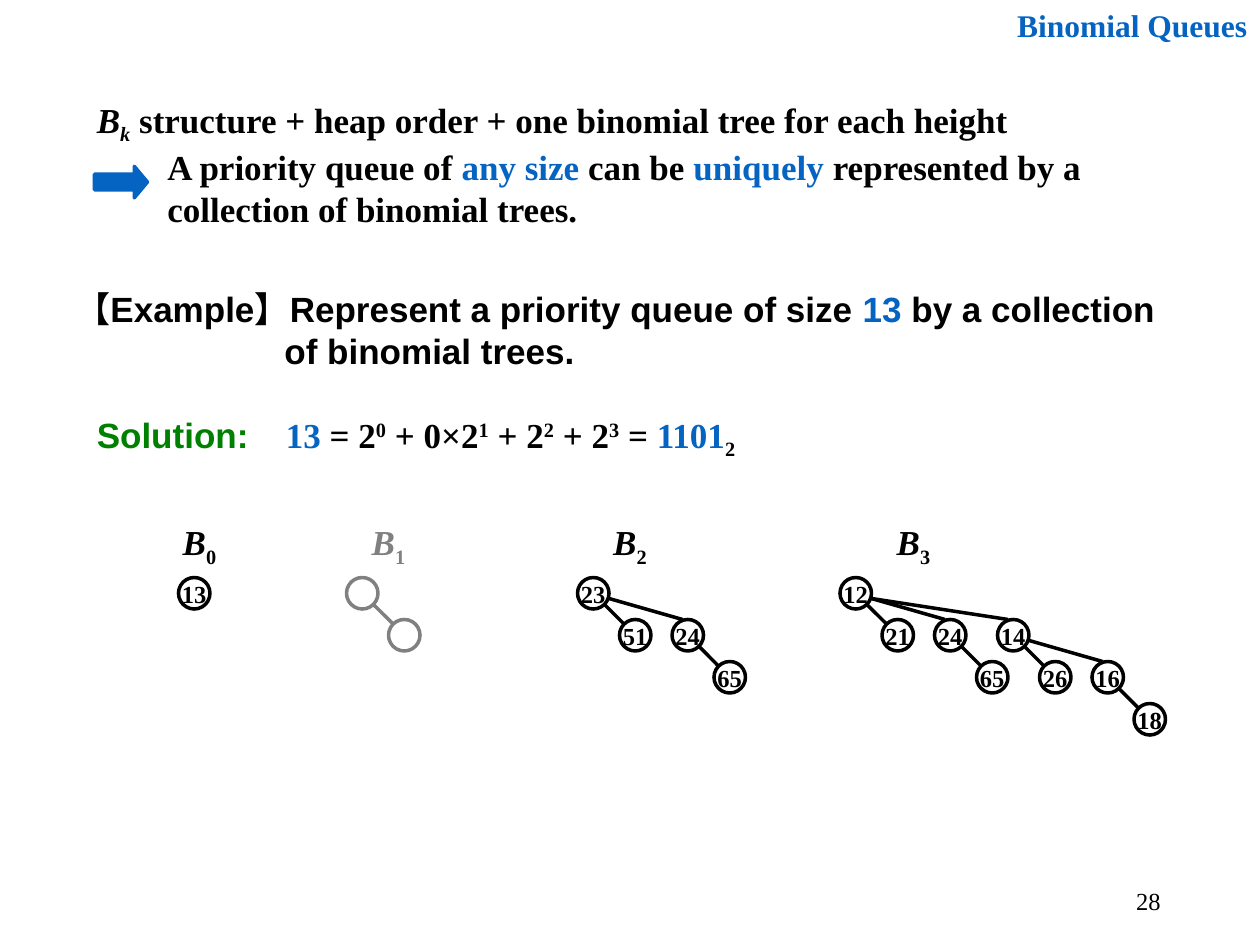
from lxml import etree
from pptx import Presentation
from pptx.dml.color import RGBColor
from pptx.enum.shapes import MSO_CONNECTOR, MSO_SHAPE
from pptx.enum.text import MSO_ANCHOR, MSO_AUTO_SIZE, PP_ALIGN
from pptx.oxml.ns import qn
from pptx.util import Inches, Pt

LEFT, CENTER, RIGHT = PP_ALIGN.LEFT, PP_ALIGN.CENTER, PP_ALIGN.RIGHT
TOP, MIDDLE = MSO_ANCHOR.TOP, MSO_ANCHOR.MIDDLE
STRAIGHT = MSO_CONNECTOR.STRAIGHT
SERIF, SANS = "Times New Roman", "Arial"
COLORS = {name: RGBColor.from_string(value) for name, value in {
    "black": "000000", "blue": "0563C1", "green": "008000", "white": "FFFFFF",
}.items()}
UNIT = 1 / 12  # the trees sit on a grid of twelfths of an inch
NODE = 3 * UNIT


def add_span(para, text, size=20, font=SERIF, color="black", bold=True,
             italic=False, baseline=0):
    """Append a formatted run; baseline is a percentage, negative for subscript."""
    span = para.add_run()
    span.text = text
    span.font.size = Pt(size)
    span.font.name = font
    span.font.bold = bold
    span.font.italic = italic
    span.font.color.rgb = COLORS[color]
    if baseline:
        span._r.get_or_add_rPr().set("baseline", str(baseline * 1000))


def add_box(left, top, width, height, align=LEFT, anchor=TOP):
    """Add a wrapping text box and return its text frame."""
    box = page.shapes.add_textbox(Inches(left), Inches(top), Inches(width), Inches(height))
    frame = box.text_frame
    frame.word_wrap = True
    frame.vertical_anchor = anchor
    frame.paragraphs[0].alignment = align
    return frame


deck = Presentation()
deck.slide_width, deck.slide_height = Inches(10), Inches(7.5)
page = deck.slides.add_slide(deck.slide_layouts[5])

# Title and page number
title = page.shapes.title
title.left, title.top = Inches(7.42), Inches(0)
title.width, title.height = Inches(2.58), Inches(0.4)
title.text_frame.vertical_anchor = TOP
title.text_frame.auto_size = MSO_AUTO_SIZE.NONE
para = title.text_frame.paragraphs[0]
para.alignment = RIGHT
add_span(para, "Binomial Queues", size=18, color="blue")

number = add_box(7.06, 6.95, 2.25, 0.4, align=RIGHT, anchor=MIDDLE)
add_span(number.paragraphs[0], "28", size=14, bold=False)

# Example
para = add_box(0.5, 2.23, 9, 0.77).paragraphs[0]
properties = para._p.get_or_add_pPr()
properties.set("marL", str(Inches(1.66)))
properties.set("indent", str(Inches(-1.66)))
add_span(para, "【Example】Represent a priority queue of size ", font=SANS)
add_span(para, "13", font=SANS, color="blue")
add_span(para, " by a collection of binomial trees.", font=SANS)

# Statement and its conclusion
statement = add_box(0.67, 0.73, 8.42, 1.1)
para = statement.paragraphs[0]
add_span(para, "B", italic=True)
add_span(para, "k", italic=True, baseline=-25)
add_span(para, " structure + heap order + one binomial tree for each height")
conclusion = [
    [("A priority queue of ", "black"), ("any size", "blue"), (" can be ", "black"),
     ("uniquely", "blue"), (" represented by a", "black")],
    [("collection of binomial trees.", "black")],
]
for line in conclusion:
    para = statement.add_paragraph()
    para._p.get_or_add_pPr().set("marL", str(Inches(0.56)))
    for text, color in line:
        add_span(para, text, color=color)

arrow = page.shapes.add_shape(MSO_SHAPE.RIGHT_ARROW, Inches(0.75), Inches(1.32),
                              Inches(0.42), Inches(0.25))
arrow.adjustments[1] = 0.417
arrow.shadow.inherit = False
arrow.fill.solid()
arrow.fill.fore_color.rgb = COLORS["blue"]
arrow.line.color.rgb = COLORS["blue"]
arrow.line.width = Pt(2)

# Solution
add_span(add_box(0.67, 3.23, 1.67, 0.43).paragraphs[0], "Solution:",
         font=SANS, color="green")
para = add_box(2.17, 3.23, 4.58, 0.43).paragraphs[0]
add_span(para, "13", color="blue")
for term, power in [(" = 2", "0"), (" + 0×2", "1"), (" + 2", "2"), (" + 2", "3")]:
    add_span(para, term)
    add_span(para, power, baseline=30)
add_span(para, " = ")
add_span(para, "1101", color="blue")
add_span(para, "2", baseline=-25)

# Trees: label column, then nodes as (key, column, level, index of parent)
trees = [
    (15, [("13", 17, 0, None)]),
    (33, [("", 33, 0, None), ("", 37, 1, 0)]),
    (56, [("23", 55, 0, None), ("51", 59, 1, 0), ("24", 64, 1, 0), ("65", 68, 2, 2)]),
    (83, [("12", 80, 0, None), ("21", 84, 1, 0), ("24", 89, 1, 0), ("65", 93, 2, 2),
          ("14", 95, 1, 0), ("26", 99, 2, 4), ("16", 104, 2, 4), ("18", 108, 3, 6)]),
]
for order, (label_column, nodes) in enumerate(trees):
    para = add_box(label_column * UNIT, 4.08, 8 * UNIT, 0.43, align=CENTER).paragraphs[0]
    add_span(para, "B", italic=True)
    add_span(para, str(order), baseline=-25)

    for key, column, level, parent in nodes:
        left, top = column * UNIT, (55 + 4 * level) * UNIT
        circle = page.shapes.add_shape(MSO_SHAPE.OVAL, Inches(left), Inches(top),
                                       Inches(NODE), Inches(NODE))
        circle.shadow.inherit = False
        circle.fill.background()
        circle.line.color.rgb = COLORS["black"]
        circle.line.width = Pt(2)
        if key:
            frame = circle.text_frame
            frame.word_wrap = False
            frame.vertical_anchor = MIDDLE
            frame.paragraphs[0].alignment = CENTER
            add_span(frame.paragraphs[0], key, size=14)
        if parent is None:
            continue

        _, parent_column, parent_level, _ = nodes[parent]
        parent_left, parent_top = parent_column * UNIT, (55 + 4 * parent_level) * UNIT
        if column - parent_column == 4:  # first child hangs on the diagonal
            ends = (parent_left + 0.21, parent_top + 0.21, left + 0.04, top + 0.04)
        else:
            ends = (parent_left + NODE, parent_top + 2 * UNIT, left + UNIT, top)
        edge = page.shapes.add_connector(STRAIGHT, *map(Inches, ends))
        edge.line.color.rgb = COLORS["black"]
        edge.line.width = Pt(2)
        etree.SubElement(edge._element.spPr, qn("a:effectLst"))

# Half-transparent veil that greys out the unused tree
veil = page.shapes.add_shape(MSO_SHAPE.RECTANGLE, Inches(2.5), Inches(4.08),
                             Inches(1.17), Inches(1.17))
veil.shadow.inherit = False
veil.line.fill.background()
veil.fill.solid()
veil.fill.fore_color.rgb = COLORS["white"]
white = veil._element.spPr.find(qn("a:solidFill")).find(qn("a:srgbClr"))
etree.SubElement(white, qn("a:alpha")).set("val", "50000")

deck.save("out.pptx")
